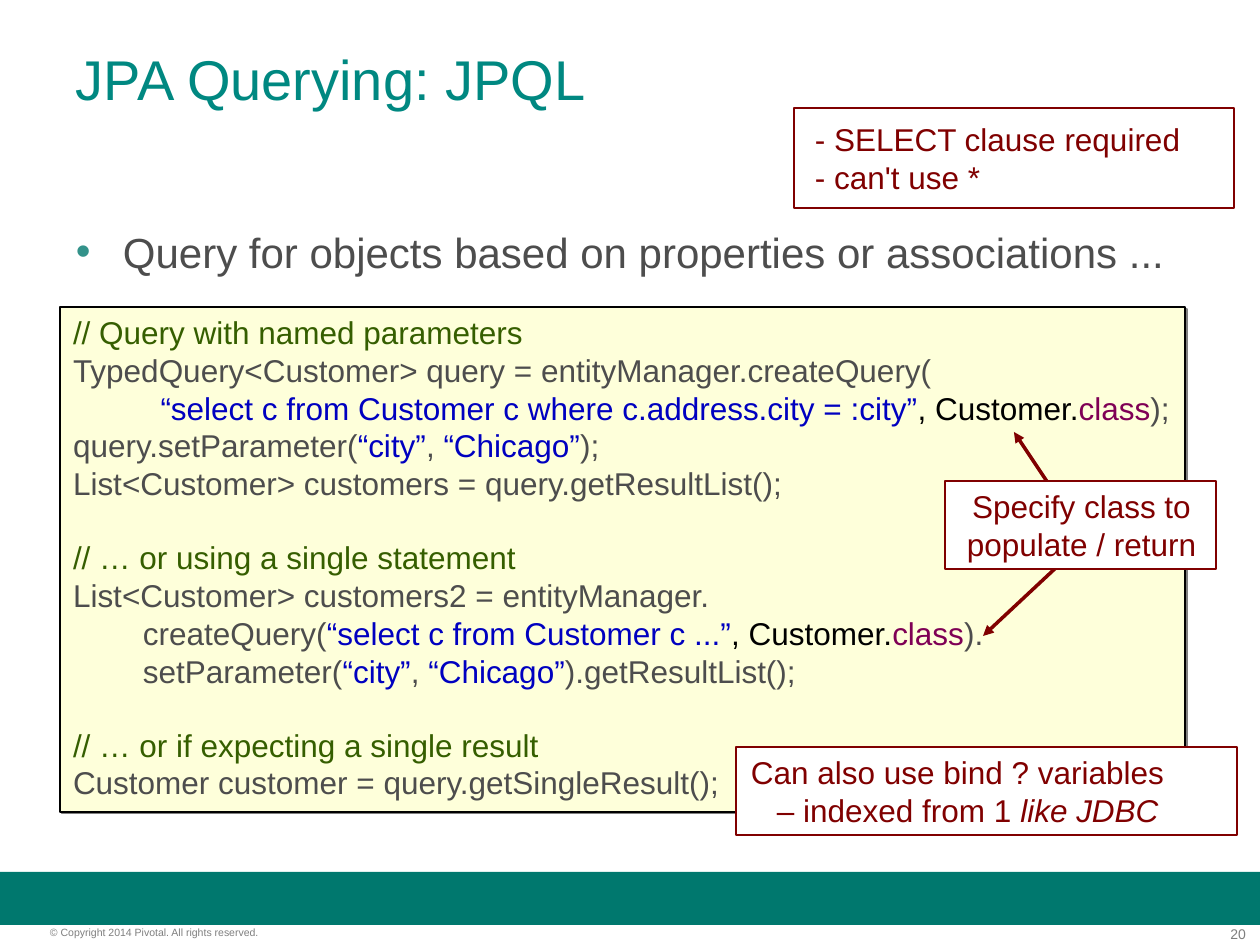
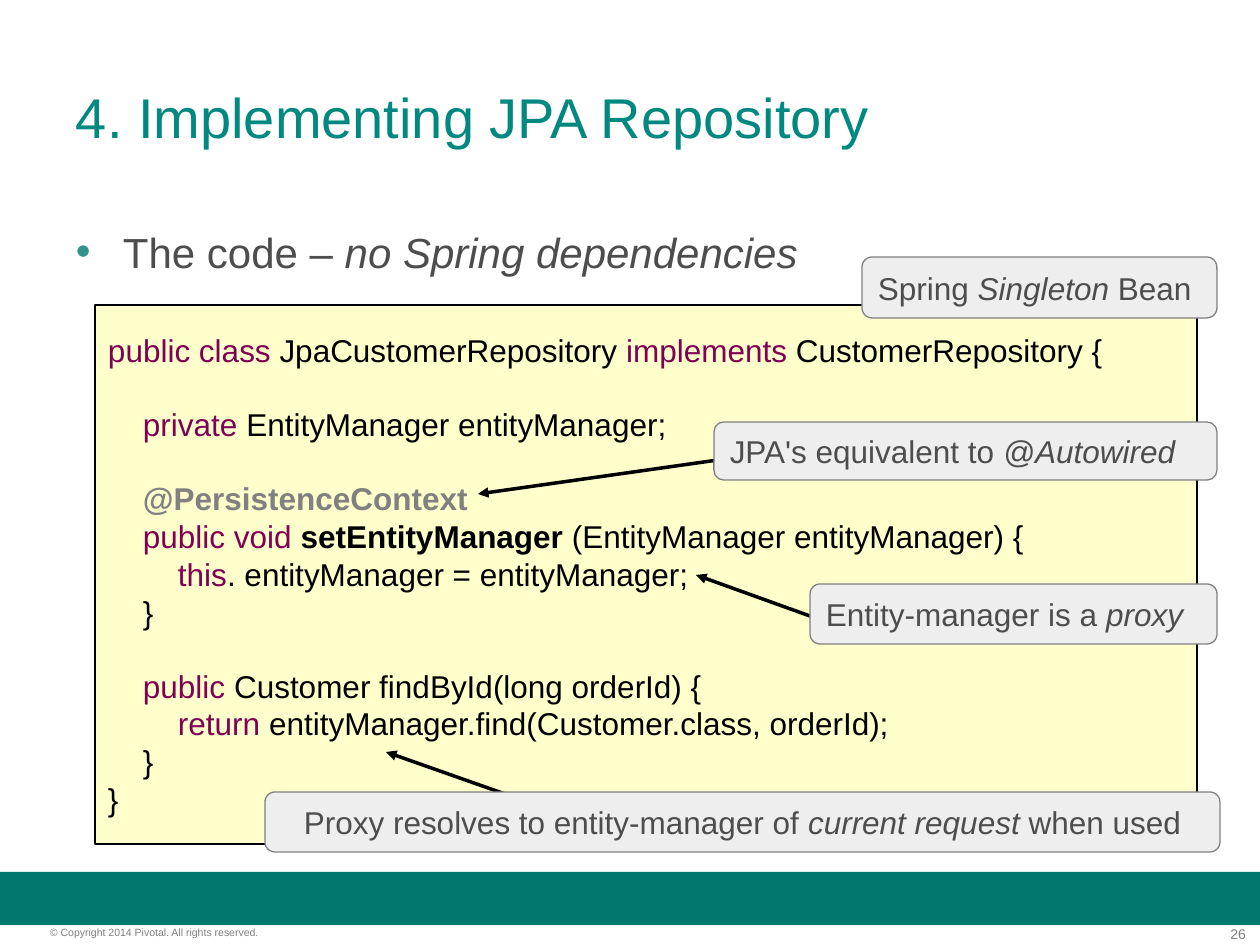
"""Build two slides on JPA querying and repositories."""
import dataclasses
import pptx
import pptx.dml.color
import pptx.enum.shapes
import pptx.enum.text
import pptx.oxml
import pptx.oxml.ns
import pptx.util


@dataclasses.dataclass(frozen=True)
class Theme:
    font: str = "Arial"
    title: str = "008881"
    band: str = "00786E"
    dot: str = "33928A"
    foot: str = "7F7F7F"
    text: str = "4D4D4D"
    black: str = "000000"
    white: str = "FFFFFF"
    note: str = "800000"
    lemon: str = "FEFFDA"
    cream: str = "FFFFCC"
    pale: str = "EEEEEE"
    grey: str = "808080"
    green: str = "355E00"
    blue: str = "0000C0"
    plum: str = "7F0055"
    head: float = 32
    lead: float = 24
    body: float = 18
    gap: float = 20.7
    page: float = 8
    legal: float = 6


T = Theme()
SCALE = 914400 / 126
RGB = pptx.dml.color.RGBColor.from_string
SHAPE = pptx.enum.shapes.MSO_SHAPE
TOP, MIDDLE = pptx.enum.text.MSO_ANCHOR.TOP, pptx.enum.text.MSO_ANCHOR.MIDDLE
LEFT, CENTER, RIGHT = (pptx.enum.text.PP_ALIGN.LEFT, pptx.enum.text.PP_ALIGN.CENTER,
                       pptx.enum.text.PP_ALIGN.RIGHT)
NS = 'xmlns:a="http://schemas.openxmlformats.org/drawingml/2006/main"'


def write(shape, lines, size=T.body, align=LEFT, anchor=TOP, inset=(13, 6, 13, 6)):
    frame = shape.text_frame
    frame.word_wrap = True
    frame.auto_size = pptx.enum.text.MSO_AUTO_SIZE.NONE
    frame.vertical_anchor = anchor
    (frame.margin_left, frame.margin_top,
     frame.margin_right, frame.margin_bottom) = [round(n * SCALE) for n in inset]
    para, gap = None, 0
    for line in lines:
        if not line:
            gap = T.gap
            continue
        para = frame.add_paragraph() if para else frame.paragraphs[0]
        para.alignment = align
        para.space_before = pptx.util.Pt(gap)
        gap = 0
        for words, color, *style in line:
            run = para.add_run()
            run.text = words
            run.font.name = T.font
            run.font.size = pptx.util.Pt(size)
            run.font.color.rgb = RGB(color)
            run.font.bold = "bold" in style
            run.font.italic = "italic" in style


def panel(slide, kind, place, fill, edge=None, width=0):
    shape = slide.shapes.add_shape(kind, *[round(n * SCALE) for n in place])
    shape.shadow.inherit = False
    shape.fill.solid()
    shape.fill.fore_color.rgb = RGB(fill)
    if edge:
        shape.line.color.rgb = RGB(edge)
        shape.line.width = pptx.util.Pt(width)
    else:
        shape.line.fill.background()
    return shape


deck = pptx.Presentation()
deck.slide_width = round(1260 * SCALE)
deck.slide_height = round(945 * SCALE)

pages = [
    ("JPA Querying: JPQL", TOP, "20",
     [("Query for objects based on properties or associations ...", T.text)]),
    ("4. Implementing JPA Repository", MIDDLE, "26",
     [("The code – ", T.text), ("no Spring dependencies", T.text, "italic")]),
]
for name, anchor, page, lead in pages:
    slide = deck.slides.add_slide(deck.slide_layouts[5])
    panel(slide, SHAPE.RECTANGLE, (0, 872, 1260, 53), T.band)
    title = slide.shapes.title
    title.left, title.top, title.width, title.height = [
        round(n * SCALE) for n in (63, 38, 1134, 157)]
    write(title, [[(name, T.title)]], T.head, anchor=anchor)
    texts = [
        ((63, 220, 1134, 70), lead, T.lead, LEFT, (13, 6, 13, 6)),
        ((1173, 926, 73, 16), [(page, T.foot)], T.page, RIGHT, (0, 0, 0, 0)),
        ((50, 926, 314, 13), [("© Copyright 2014 Pivotal. All rights reserved.", T.foot)],
         T.legal, LEFT, (0, 0, 0, 0)),
    ]
    for place, line, size, align, inset in texts:
        box = slide.shapes.add_textbox(*[round(n * SCALE) for n in place])
        if line is lead:
            props = box.text_frame.paragraphs[0]._p.get_or_add_pPr()
            props.set("marL", str(round(47 * SCALE)))
            props.set("indent", str(round(-47 * SCALE)))
            for part in (f'<a:buClr {NS}><a:srgbClr val="{T.dot}"/></a:buClr>',
                         f'<a:buFont {NS} typeface="{T.font}"/>',
                         f'<a:buChar {NS} char="•"/>'):
                props.append(pptx.oxml.parse_xml(part))
        write(box, [line], size, align, inset=inset)

query, store = deck.slides

code = panel(query, SHAPE.RECTANGLE, (60, 307, 1125, 505), T.lemon, T.black, 1)
code._element.spPr.find(pptx.oxml.ns.qn("a:effectLst")).append(pptx.oxml.parse_xml(
    f'<a:outerShdw {NS} blurRad="0" dist="17780" dir="2700000">'
    f'<a:srgbClr val="{T.grey}"/></a:outerShdw>'))
write(code, [
    [("// Query with named parameters", T.green)],
    [("TypedQuery<Customer> query = entityManager.createQuery(", T.text)],
    [("          ", T.text),
     ("“select c from Customer c where c.address.city = :city”", T.blue),
     (", Customer.", T.black), ("class", T.plum), (");", T.text)],
    [("query.setParameter(", T.text), ("“city”", T.blue), (", ", T.text),
     ("“Chicago”", T.blue), (");", T.text)],
    [("List<Customer> customers = query.getResultList();", T.text)],
    [],
    [("// … or using a single statement", T.green)],
    [("List<Customer> customers2 = entityManager.", T.text)],
    [("        createQuery(", T.text), ("“select c from Customer c ...”", T.blue),
     (", Customer.", T.black), ("class", T.plum), (").", T.text)],
    [("        setParameter(", T.text), ("“city”", T.blue), (", ", T.text),
     ("“Chicago”", T.blue), (").getResultList();", T.text)],
    [],
    [("// … or if expecting a single result", T.green)],
    [("Customer customer = query.getSingleResult();", T.text)],
])

code = panel(store, SHAPE.RECTANGLE, (95, 305, 1102, 539), T.cream, T.black, 1)
write(code, [
    [("public class", T.plum), (" JpaCustomerRepository ", T.black),
     ("implements", T.plum), (" CustomerRepository {", T.black)],
    [],
    [("    private", T.plum), (" EntityManager entityManager;", T.black)],
    [],
    [("    @PersistenceContext", T.grey, "bold")],
    [("    public void ", T.plum), ("setEntityManager ", T.black, "bold"),
     ("(EntityManager entityManager) {", T.black)],
    [("        this", T.plum), (". entityManager = entityManager;", T.black)],
    [("    }", T.black)],
    [],
    [("    public ", T.plum), ("Customer findById(long orderId) {", T.black)],
    [("        return", T.plum),
     (" entityManager.find(Customer.class, orderId);", T.black)],
    [("    }", T.black)],
    [("}", T.black)],
], anchor=MIDDLE)

arrows = [
    (query, T.note, (1056, 495, 1014, 432)),
    (query, T.note, (1060, 564, 983, 636)),
    (store, T.black, (845, 442, 478, 494)),
    (store, T.black, (525, 801, 386, 752)),
    (store, T.black, (835, 625, 696, 575)),
]
for slide, color, ends in arrows:
    arrow = slide.shapes.add_connector(
        pptx.enum.shapes.MSO_CONNECTOR.STRAIGHT, *[round(n * SCALE) for n in ends])
    arrow.line.color.rgb = RGB(color)
    arrow.line.width = 0
    arrow.line._get_or_add_ln().append(
        pptx.oxml.parse_xml(f'<a:tailEnd {NS} type="triangle"/>'))
    arrow._element.spPr.append(pptx.oxml.parse_xml(f"<a:effectLst {NS}/>"))

notes = [
    ((794, 108, 440, 100), LEFT, 21,
     [[("- SELECT clause required", T.note)], [("- can't use *", T.note)]]),
    ((945, 481, 271, 88), CENTER, 15,
     [[("Specify class to", T.note)], [("populate / return", T.note)]]),
    ((736, 747, 501, 88), LEFT, 15,
     [[("Can also use bind ? variables", T.note)],
      [("– indexed from 1 ", T.note), ("like JDBC", T.note, "italic")]]),
]
for place, align, left, lines in notes:
    note = panel(query, SHAPE.RECTANGLE, place, T.white, T.note)
    write(note, lines, align=align, anchor=MIDDLE, inset=(left, 6, 13, 6))
last = note.text_frame.paragraphs[1]
last._p.get_or_add_pPr().set("marL", str(round(26 * SCALE)))

tags = [
    ((265, 792, 955, 60), CENTER, "Proxy resolves to entity-manager of ",
     "current request", " when used"),
    ((714, 422, 503, 58), LEFT, "JPA's equivalent to ", "@Autowired", ""),
    ((810, 584, 407, 60), LEFT, "Entity-manager is a ", "proxy", ""),
    ((862, 257, 355, 61), LEFT, "Spring ", "Singleton", " Bean"),
]
for place, align, start, stress, end in tags:
    tag = panel(store, SHAPE.ROUNDED_RECTANGLE, place, T.pale, T.grey)
    line = [(start, T.text), (stress, T.text, "italic")]
    if end:
        line.append((end, T.text))
    write(tag, [line], align=align, anchor=MIDDLE, inset=(13, 1, 13, 1))

deck.save("out.pptx")
